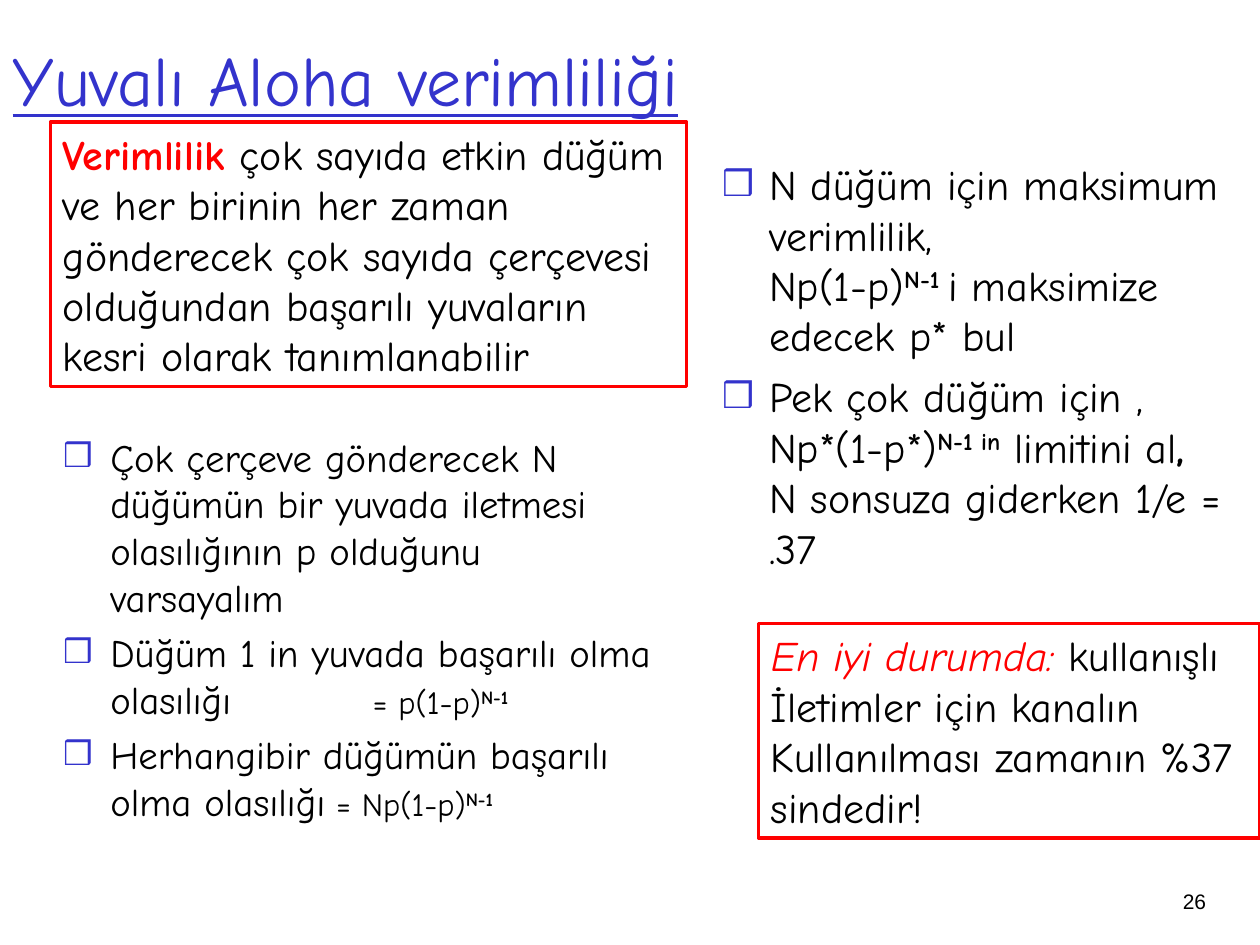
"""Build the slide on the efficiency of slotted Aloha."""
from dataclasses import dataclass

from lxml import etree
from pptx import Presentation
from pptx.dml.color import RGBColor
from pptx.enum.shapes import MSO_SHAPE
from pptx.enum.text import MSO_ANCHOR, MSO_AUTO_SIZE, PP_ALIGN
from pptx.oxml.ns import qn
from pptx.util import Pt

RECTANGLE = MSO_SHAPE.RECTANGLE
TOP, MIDDLE = MSO_ANCHOR.TOP, MSO_ANCHOR.MIDDLE
LEFT, RIGHT = PP_ALIGN.LEFT, PP_ALIGN.RIGHT
NO_FIT = MSO_AUTO_SIZE.NONE


@dataclass(frozen=True)
class Theme:
    font: str = "Comic Neue"
    number_font: str = "Arial"
    ink: RGBColor = RGBColor(0x00, 0x00, 0x00)
    accent: RGBColor = RGBColor(0x33, 0x33, 0xCC)
    alert: RGBColor = RGBColor(0xFF, 0x00, 0x00)
    title: float = 40
    text: float = 24
    steps: float = 22.2
    formula: float = 18.5
    number: float = 12


theme = Theme()


def fill_paragraph(para, spans, size):
    para.alignment = LEFT
    para.font.name, para.font.size = theme.font, Pt(size)
    para.font.color.rgb = theme.ink
    for text, style in spans:
        if "new_line" in style:
            para.add_line_break()
        span = para.add_run()
        span.text = text
        if "size" in style:
            span.font.size = Pt(style["size"])
        if "color" in style:
            span.font.color.rgb = style["color"]
        if "bold" in style:
            span.font.bold = True
        if "italic" in style:
            span.font.italic = True
        if "raised" in style:
            span._r.get_or_add_rPr().set("baseline", "30000")


def add_bullet(para, tab_stop):
    properties = para._p.get_or_add_pPr()
    properties.set("marL", str(Pt(27)))
    properties.set("indent", str(Pt(-27)))
    color = etree.SubElement(properties, qn("a:buClr"))
    etree.SubElement(color, qn("a:srgbClr"), val=str(theme.accent))
    etree.SubElement(properties, qn("a:buSzPct"), val="85000")
    etree.SubElement(properties, qn("a:buChar"), char="❒")
    if tab_stop:
        tabs = etree.SubElement(properties, qn("a:tabLst"))
        etree.SubElement(tabs, qn("a:tab"), pos=str(Pt(tab_stop)), algn="l")


plain = {}
formula = {"size": theme.formula}
power = {"bold": True, "raised": True}
small_power = formula | power

deck = Presentation()
deck.slide_width, deck.slide_height = Pt(720), Pt(540)
page = deck.slides.add_slide(deck.slide_layouts[3])
title, steps, results = page.placeholders

title.left, title.top, title.width, title.height = Pt(0), Pt(0), Pt(612), Pt(90)
title.text_frame.text = "Yuvalı Aloha verimliliği"
title.text_frame.vertical_anchor = MIDDLE
title.text_frame.auto_size = NO_FIT
para = title.text_frame.paragraphs[0]
para.alignment = LEFT
para.font.name, para.font.size = theme.font, Pt(theme.title)
para.font.color.rgb = theme.accent
para.font.underline = True

lists = [
    (steps, (28.8, 244, 352.8, 246.2), theme.steps, 5, 177, [
        [("Çok çerçeve gönderecek N düğümün bir yuvada iletmesi "
          "olasılığının p olduğunu varsayalım", plain)],
        [("Düğüm 1 in yuvada başarılı olma olasılığı", plain),
         ("\t= p(1-p)", formula), ("N-1", small_power)],
        [("Herhangibir düğümün başarılı olma olasılığı", plain),
         (" = Np(1-p)", formula), ("N-1", small_power)],
    ]),
    (results, (405.4, 87.1, 300.2, 249.1), theme.text, 6, None, [
        [("N düğüm için maksimum verimlilik, ", plain),
         ("Np(1-p)", {"new_line": True}), ("N-1 ", power),
         ("i maksimize edecek p* bul", plain)],
        [("Pek çok düğüm için , Np*(1-p*)", plain), ("N-1 in", power),
         (" limitini al", plain), (", ", {"bold": True}),
         ("N sonsuza giderken 1/e = .37", plain)],
    ]),
]
for box, place, size, gap, tab_stop, items in lists:
    box.left, box.top, box.width, box.height = map(Pt, place)
    frame = box.text_frame
    frame.auto_size = NO_FIT
    for index, spans in enumerate(items):
        para = frame.add_paragraph() if index else frame.paragraphs[0]
        fill_paragraph(para, spans, size)
        para.space_before = Pt(gap if index else 6)
        add_bullet(para, tab_stop)

callouts = [
    ((28.8, 69.8, 363.6, 151.2), [
        [("Verimlilik ", {"color": theme.alert, "bold": True}),
         ("çok sayıda etkin düğüm ve her birinin her zaman gönderecek çok sayıda "
          "çerçevesi olduğundan başarılı yuvaların kesri olarak tanımlanabilir", plain)],
    ]),
    ((433.4, 356.4, 286.6, 122.4), [
        [("En iyi durumda: ", {"color": theme.alert, "italic": True}),
         ("kullanışlı", plain)],
        [("İletimler için kanalın", plain)],
        [("Kullanılması zamanın %37", plain)],
        [("sindedir!", plain)],
    ]),
]
for place, lines in callouts:
    box = page.shapes.add_shape(RECTANGLE, *map(Pt, place))
    box.shadow.inherit = False
    box.fill.background()
    box.line.color.rgb, box.line.width = theme.alert, Pt(2)
    frame = box.text_frame
    frame.word_wrap, frame.vertical_anchor = True, TOP
    for index, spans in enumerate(lines):
        para = frame.add_paragraph() if index else frame.paragraphs[0]
        fill_paragraph(para, spans, theme.text)

number = page.shapes.add_textbox(Pt(643), Pt(504), Pt(53.3), Pt(36))
number.text_frame.word_wrap = True
number.text_frame.text = "26"
para = number.text_frame.paragraphs[0]
para.alignment = RIGHT
para.font.name, para.font.size = theme.number_font, Pt(theme.number)
para.font.color.rgb = theme.ink

deck.save("out.pptx")
